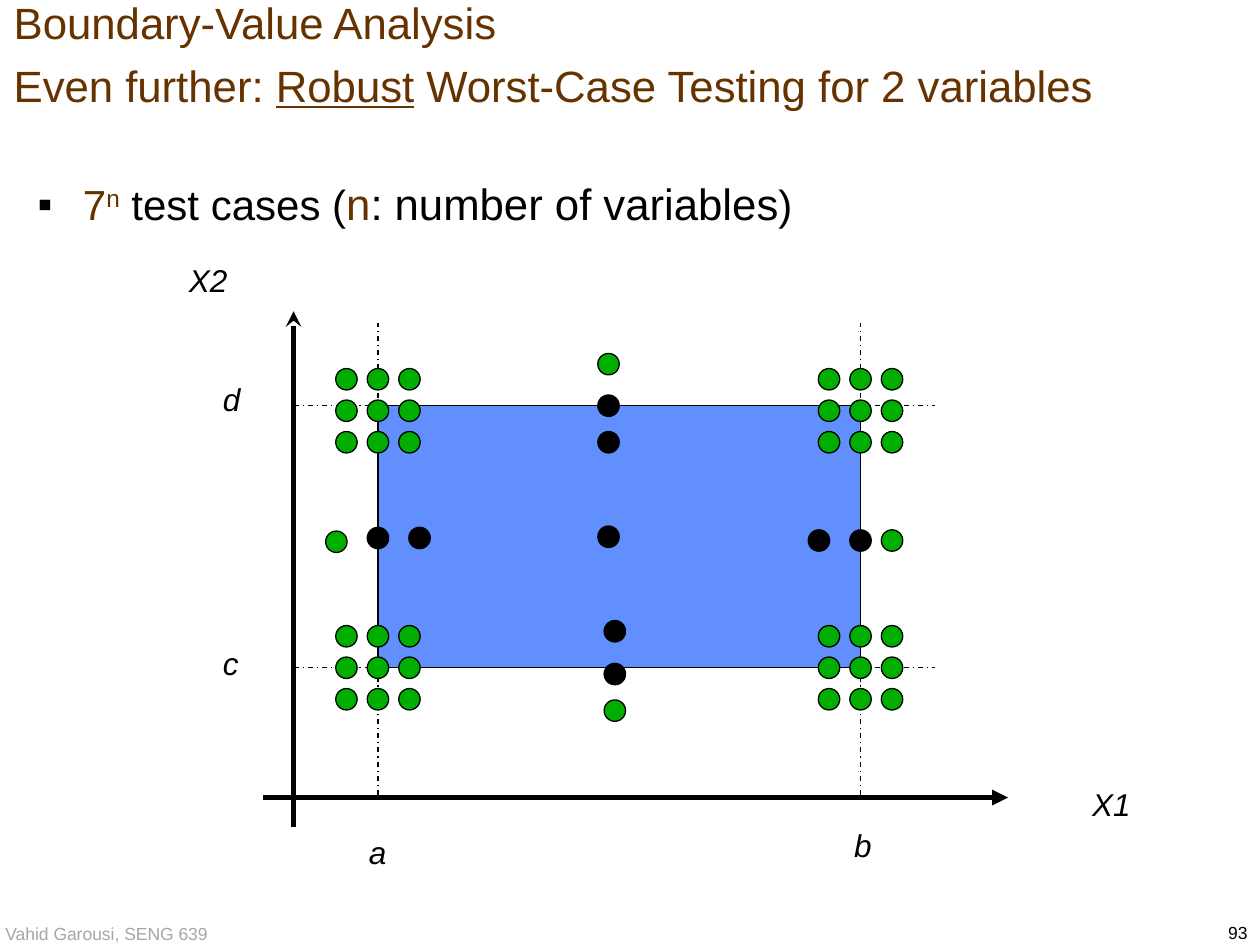
from itertools import product

from lxml import etree
from pptx import Presentation
from pptx.dml.color import RGBColor
from pptx.enum.dml import MSO_LINE_DASH_STYLE as Dash
from pptx.enum.shapes import MSO_CONNECTOR, MSO_SHAPE
from pptx.enum.text import MSO_ANCHOR as Anchor, MSO_AUTO_SIZE as AutoSize, PP_ALIGN as Align
from pptx.oxml.ns import qn
from pptx.util import Inches, Pt

BLACK, BROWN, GREY = "000000", "663300", "A6A6A6"
BLUE, GREEN = "618FFD", "00AE00"
DOT = 0.17
DOT_GAP = 0.25


def color(hex_value):
    return RGBColor.from_string(hex_value)


def add_text_box(slide, box, anchor=Anchor.TOP, align=Align.LEFT, wrap=True):
    frame = slide.shapes.add_textbox(*map(Inches, box)).text_frame
    frame.word_wrap = wrap
    frame.auto_size = AutoSize.NONE if wrap else AutoSize.SHAPE_TO_FIT_TEXT
    frame.vertical_anchor = anchor
    paragraph = frame.paragraphs[0]
    paragraph.alignment = align
    return paragraph


def add_run(paragraph, text, size, hex_value=BLACK, italic=None, underline=None):
    run = paragraph.add_run()
    run.text = text
    font = run.font
    font.name, font.size = "Arial", Pt(size)
    font.italic, font.underline = italic, underline
    font.color.rgb = color(hex_value)
    return run


def add_line(slide, start, end, width, dash=None, arrow=None):
    line = slide.shapes.add_connector(MSO_CONNECTOR.STRAIGHT, *map(Inches, start + end))
    line.line.color.rgb = color(BLACK)
    line.line.width = Pt(width)
    if dash:
        line.line.dash_style = dash
    properties = line._element.spPr
    if arrow:
        etree.SubElement(properties.find(qn("a:ln")), qn("a:tailEnd"), type=arrow)
    etree.SubElement(properties, qn("a:effectLst"))


def add_outlined(shapes, kind, box, fill):
    shape = shapes.add_shape(kind, *map(Inches, box))
    shape.shadow.inherit = False
    shape.fill.solid()
    shape.fill.fore_color.rgb = color(fill)
    shape.line.color.rgb = color(BLACK)
    shape.line.width = Pt(0.75)


def add_dot(shapes, center_x, center_y, fill):
    box = (center_x - DOT / 2, center_y - DOT / 2, DOT, DOT)
    add_outlined(shapes, MSO_SHAPE.OVAL, box, fill)


def add_title(slide, box):
    title = add_text_box(slide, box, Anchor.MIDDLE)
    title.line_spacing = 1.2
    add_run(title, "Boundary-Value Analysis", 25, BROWN)
    title.add_line_break()
    add_run(title, "Even further: ", 25, BROWN)
    add_run(title, "Robust", 25, BROWN, underline=True)
    add_run(title, " Worst-Case Testing for 2 variables", 25, BROWN)


def add_case_count(slide, box):
    bullet = add_text_box(slide, box)
    bullet.line_spacing = 0.93
    properties = bullet._p.get_or_add_pPr()
    properties.set("marL", str(Inches(0.36)))
    properties.set("indent", str(-Inches(0.36)))
    bullet_color = etree.SubElement(properties, qn("a:buClr"))
    etree.SubElement(bullet_color, qn("a:srgbClr"), val=BLACK)
    etree.SubElement(properties, qn("a:buFont"), typeface="Arial")
    etree.SubElement(properties, qn("a:buChar"), char="▪")
    add_run(bullet, "7", 24, BROWN)
    exponent = add_run(bullet, "n", 24, BROWN)
    exponent.font._element.set("baseline", "30000")
    add_run(bullet, " test cases (", 24)
    add_run(bullet, "n", 25, BROWN)
    add_run(bullet, ": number of variables", 25)
    add_run(bullet, ")", 24)


def add_diagram(slide, domain):
    """Draw axes, limits and test points around the valid input domain."""
    left, top, width, height = domain
    right, bottom = left + width, top + height
    axis_x, axis_y = left - 0.67, bottom + 1.03

    # Axes
    add_line(slide, (axis_x, axis_y + 0.23), (axis_x, top - 0.75), 3, arrow="stealth")
    add_line(slide, (axis_x - 0.24, axis_y), (right + 1.17, axis_y), 3, arrow="triangle")

    # Limits of each variable
    for y in (top, bottom):
        add_line(slide, (axis_x, y), (right + 0.59, y), 0.75, Dash.DASH_DOT)
    for x in (left, right):
        add_line(slide, (x, axis_y - 0.02), (x, top - 0.66), 0.75, Dash.DASH_DOT)
    add_outlined(slide.shapes, MSO_SHAPE.RECTANGLE, domain, BLUE)

    # Labels
    labels = [
        ("d", -1.33, -0.25, 0.34), ("c", -1.33, 1.84, 0.33),
        ("X1", 5.57, 2.96, 0.51), ("X2", -1.6, -1.2, 0.51),
        ("a", -0.17, 3.34, 0.34), ("b", 3.68, 3.29, 0.34),
    ]
    for text, dx, dy, label_width in labels:
        label = add_text_box(slide, (left + dx, top + dy, label_width, 0.4), wrap=False)
        add_run(label, text, 18, italic=True)

    # Test points on the middle lines: inside the domain, then outside it
    inside = [
        (1.83, 0), (1.83, 0.29), (1.83, 1.04), (1.88, 2.13), (1.88, 1.79),
        (0, 1.05), (0.33, 1.05), (3.5, 1.07), (3.83, 1.07),
    ]
    outside = [(1.83, -0.33), (-0.33, 1.08), (4.08, 1.07), (1.88, 2.42)]
    for points, fill in ((inside, BLACK), (outside, GREEN)):
        for dx, dy in points:
            add_dot(slide.shapes, left + dx, top + dy, fill)

    # A three-by-three cluster at each corner
    for y, x in product((top + 0.04, bottom), (left, right)):
        cluster = slide.shapes.add_group_shape()
        for row, column in product((-1, 0, 1), repeat=2):
            add_dot(cluster.shapes, x + column * DOT_GAP, y + row * DOT_GAP, GREEN)


def add_footer(slide, credit_box, number_box):
    credit = add_text_box(slide, credit_box, Anchor.MIDDLE, Align.CENTER)
    add_run(credit, "Vahid Garousi, SENG 639", 10, GREY)
    number = add_text_box(slide, number_box, align=Align.RIGHT)
    add_run(number, "93", 10)


def main():
    deck = Presentation()
    deck.slide_width, deck.slide_height = Inches(10), Inches(7.5)
    slide = deck.slides.add_slide(deck.slide_layouts[6])
    add_footer(slide, (-0.12, 7.25, 1.93, 0.32), (8.75, 7.27, 1.25, 0.27))
    add_title(slide, (0.01, 0.01, 9.99, 0.74))
    add_case_count(slide, (0.2, 1.39, 9.53, 0.48))
    add_diagram(slide, (3, 3.22, 3.83, 2.08))
    deck.save("out.pptx")


if __name__ == "__main__":
    main()
